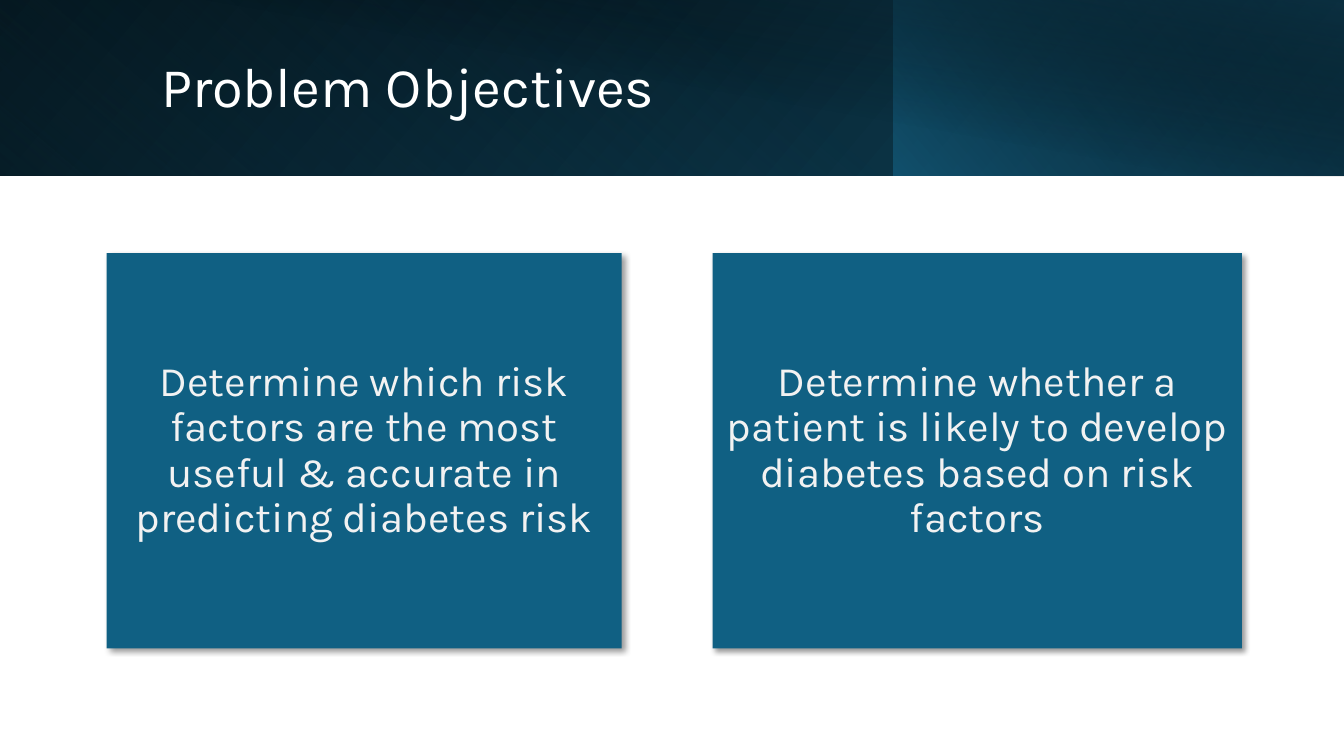
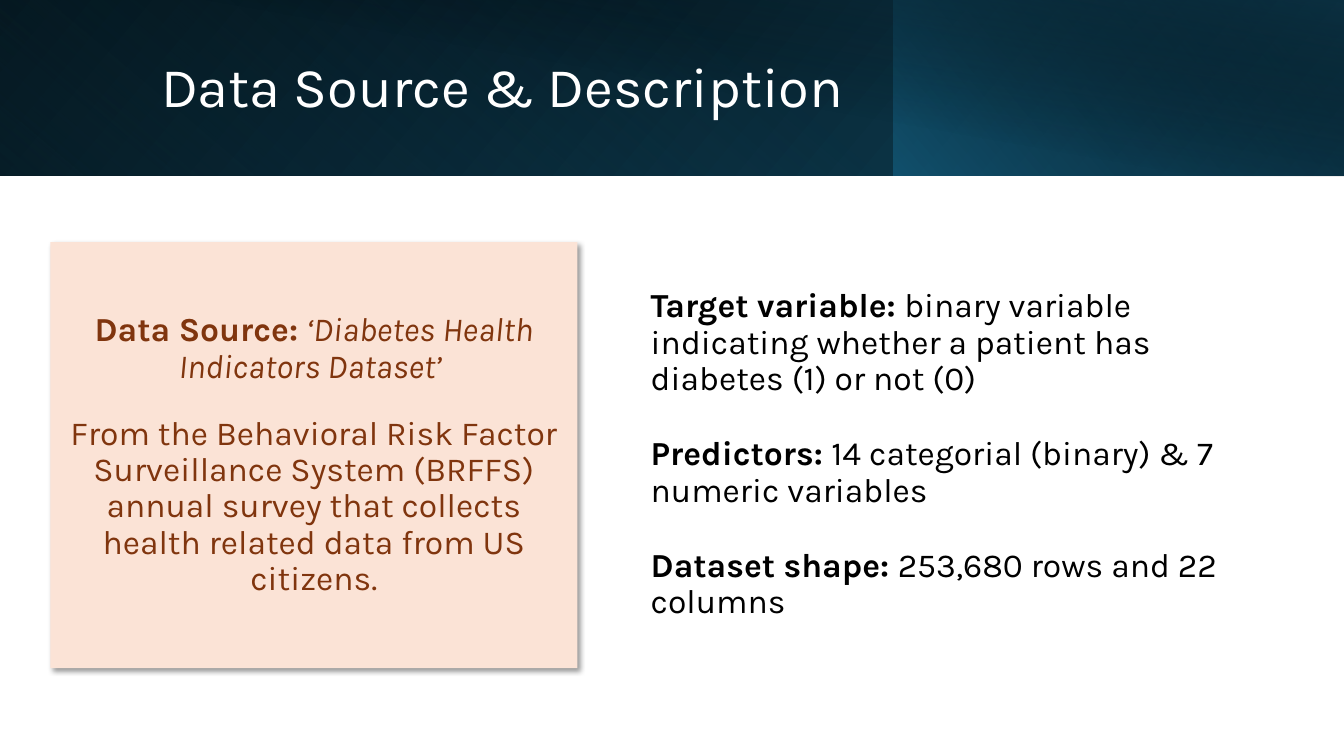
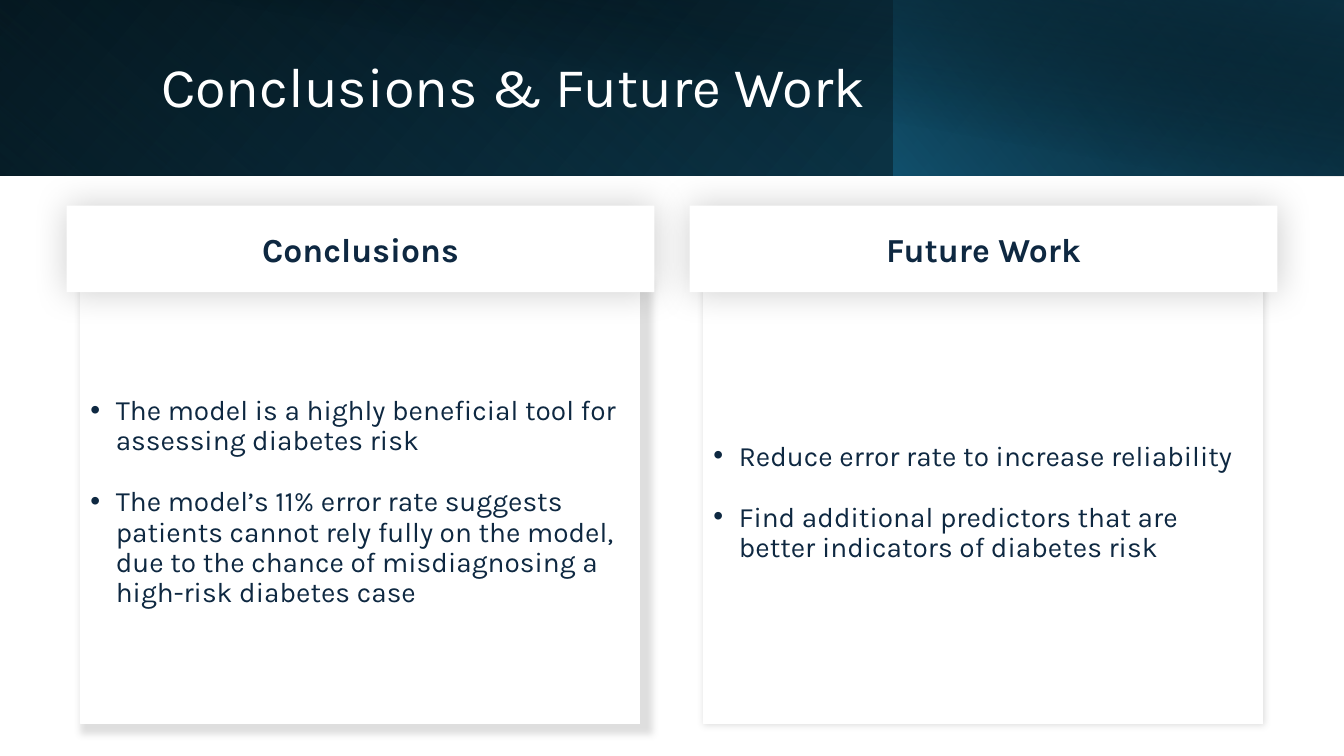
from lxml import etree
from pptx import Presentation
from pptx.dml.color import RGBColor
from pptx.enum.shapes import MSO_SHAPE
from pptx.enum.text import MSO_ANCHOR, PP_ALIGN
from pptx.oxml.ns import qn
from pptx.util import Cm, Pt

RECT = MSO_SHAPE.RECTANGLE
MIDDLE = MSO_ANCHOR.MIDDLE
LEFT, CENTER = PP_ALIGN.LEFT, PP_ALIGN.CENTER

FONT = "Karla"
COLORS = {
    "white": "FFFFFF", "black": "000000", "light": "F2F2F2",
    "blue": "106083", "peach": "FBE3D6", "rust": "80350E",
    "navy": "0E2841", "gray": "AEAEAE",
    "sea": "104862", "teal": "156082", "deep": "0B3041",
}

# box, stops (position, colour, opacity), angle, mirrored, rotation
BANDS = [
    ((0, 0, 33.87, 4.42), [(0, "black", 100), (100, "sea", 100)], 140, True, 0),
    ((0, 0, 22.56, 4.42), [(20, "teal", 0), (100, "deep", 55)], 230, True, 180),
    ((22.53, 0, 11.33, 4.42), [(0, "teal", 66), (100, "black", 30)], 220, True, 0),
    ((1.27, 0, 32.6, 4.45), [(50, "black", 0), (99, "deep", 52)], 280, False, 0),
]
TITLE = (3.81, 0.81, 27.48, 2.87)

# colour, opacity, blur, distance, angle
DROP = ("black", 40, 4, 3, 45)
GLOW = ("gray", 40, 5, 0, 0)
SOFT = ("black", 20, 25, 0, 90)


def add(parent, tag, **attrs):
    node = etree.SubElement(parent, qn(tag))
    for name, value in attrs.items():
        node.set(name, str(value))
    return node


def tint(parent, color, alpha):
    node = add(parent, "a:srgbClr", val=COLORS[color])
    add(node, "a:alpha", val=alpha * 1000)


class Deck:
    def __init__(self):
        self.prs = Presentation()
        self.prs.slide_width, self.prs.slide_height = Cm(33.87), Cm(19.05)
        self.slide = None

    def page(self, title):
        """Start a slide with the shared bands and its title."""
        self.slide = self.prs.slides.add_slide(self.prs.slide_layouts[6])
        for band in BANDS:
            self.band(*band)
        self.text(TITLE, [[(title, "")]], 40, "white")

    def rect(self, box):
        shape = self.slide.shapes.add_shape(RECT, *map(Cm, box))
        shape.shadow.inherit = False
        shape.line.fill.background()
        return shape

    def band(self, box, stops, angle, mirror, turn):
        shape = self.rect(box)
        shape.rotation = turn
        shape.fill.background()
        props = shape.element.spPr
        if mirror:
            props.find(qn("a:xfrm")).set("flipH", "1")
        grad = etree.Element(qn("a:gradFill"))
        items = add(grad, "a:gsLst")
        for pos, color, alpha in stops:
            tint(add(items, "a:gs", pos=pos * 1000), color, alpha)
        add(grad, "a:lin", ang=angle * 60000, scaled=0)
        props.replace(props.find(qn("a:noFill")), grad)

    def card(self, box, fill, shade, paras, size, color, edge=None, grow=100, **style):
        """Filled box with a shadow, grown from its top left corner, and text."""
        shape = self.rect(box)
        shape.fill.solid()
        shape.fill.fore_color.rgb = RGBColor.from_string(COLORS[fill])
        if edge:
            shape.line.color.rgb = RGBColor.from_string(COLORS[edge])
            shape.line.width = Pt(0.75)
        tone, alpha, blur, dist, angle = shade
        effects = shape.element.spPr.find(qn("a:effectLst"))
        shadow = add(effects, "a:outerShdw", blurRad=Pt(blur), dist=Pt(dist),
                     dir=angle * 60000, sx=grow * 1000, sy=grow * 1000,
                     algn="tl" if grow != 100 else "ctr", rotWithShape=0)
        tint(shadow, tone, alpha)
        self.put(shape.text_frame, paras, size, color, **style)

    def text(self, box, paras, size, color, **style):
        frame = self.slide.shapes.add_textbox(*map(Cm, box)).text_frame
        self.put(frame, paras, size, color, **style)

    def put(self, frame, paras, size, color, align=LEFT, lead=0.9,
            before=0, after=0, bullet=False):
        """Fill a frame; each run is (words, marks), with b and i as marks."""
        frame.word_wrap = True
        frame.vertical_anchor = MIDDLE
        for num, runs in enumerate(paras):
            para = frame.add_paragraph() if num else frame.paragraphs[0]
            para.alignment = align
            para.line_spacing = lead
            para.space_before, para.space_after = Pt(before), Pt(after)
            if bullet:
                props = para._p.get_or_add_pPr()
                props.set("marL", str(Cm(0.64)))
                props.set("indent", str(-Cm(0.64)))
                add(props, "a:buFont", typeface="Arial")
                add(props, "a:buChar", char="•")
            for words, marks in runs:
                run = para.add_run()
                run.text = words
                font = run.font
                font.name, font.size = FONT, Pt(size)
                font.bold, font.italic = "b" in marks, "i" in marks
                font.color.rgb = RGBColor.from_string(COLORS[color])


def goals(deck):
    deck.page("Problem Objectives")
    for left, width, words in [
        (2.69, 12.98, "Determine which risk factors are the most useful & accurate "
                      "in predicting diabetes risk"),
        (17.96, 13.34, "Determine whether a patient is likely to develop diabetes "
                       "based on risk factors"),
    ]:
        deck.card((left, 6.38, width, 9.96), "blue", DROP, [[(words, "")]],
                  30, "light", align=CENTER, before=10)


def data(deck):
    deck.page("Data Source & Description")
    facts = [
        ("Target variable: ", "binary variable indicating whether a patient has "
                              "diabetes (1) or not (0)"),
        ("Predictors: ", "14 categorial (binary) & 7 numeric variables"),
        ("Dataset shape: ", "253,680 rows and 22 columns"),
    ]
    deck.text((16.15, 5.61, 16.48, 11.71),
              [[(name, "b"), (words, "")] for name, words in facts],
              24, "black", before=10, after=18)
    origin = [
        [("Data Source: ", "b"), ("‘Diabetes Health Indicators Dataset’ ", "i")],
        [("From the Behavioral Risk Factor Surveillance System (BRFFS) annual "
          "survey that collects health related data from US citizens.", "")],
    ]
    deck.card((1.27, 6.1, 13.28, 10.74), "peach", DROP, origin, 24, "rust",
              align=CENTER, before=10, after=12)


def outlook(deck):
    deck.page("Conclusions & Future Work")
    panels = [
        ("Conclusions", 102, [
            "The model is a highly beneficial tool for assessing diabetes risk",
            "The model’s 11% error rate suggests patients cannot rely fully on the "
            "model, due to the chance of misdiagnosing a high-risk diabetes case"]),
        ("Future Work", 100, [
            "Reduce error rate to increase reliability",
            "Find additional predictors that are better indicators of diabetes risk"]),
    ]
    step = 15.7
    for col, (_, grow, points) in enumerate(panels):
        deck.card((2.03 + col * step, 7.09, 14.1, 11.15), "white", GLOW,
                  [[(point, "")] for point in points], 20, "navy", edge="white",
                  grow=grow, before=10, after=12, bullet=True)
    for col, (head, _, _) in enumerate(panels):
        deck.card((1.68 + col * step, 5.18, 14.81, 2.18), "white", SOFT,
                  [[(head, "b")]], 24, "navy", align=CENTER, lead=1.0,
                  before=6, after=6)


def main():
    deck = Deck()
    for build in (goals, data, outlook):
        build(deck)
    deck.prs.save("out.pptx")


if __name__ == "__main__":
    main()
